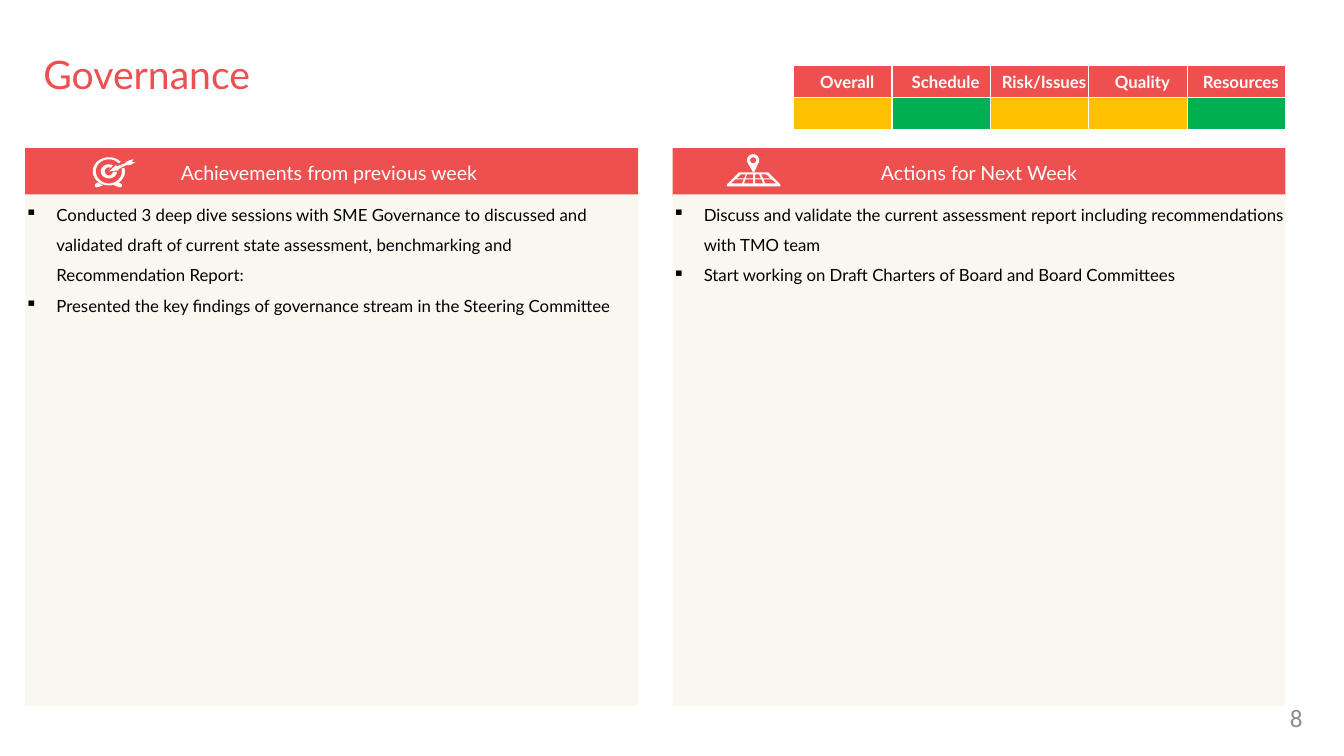
from math import cos, radians, sin

from lxml.etree import SubElement
from pptx import Presentation
from pptx.dml.color import RGBColor
from pptx.enum.shapes import MSO_SHAPE as Preset
from pptx.enum.text import MSO_ANCHOR as Anchor, MSO_AUTO_SIZE as AutoSize, PP_ALIGN as Align
from pptx.oxml.ns import qn
from pptx.util import Inches, Pt

TITLE_RED = RGBColor(0xEE, 0x4F, 0x50)
RED = RGBColor(0xEE, 0x50, 0x4F)
CREAM = RGBColor(0xF9, 0xF7, 0xEF)
WHITE = RGBColor(0xFF, 0xFF, 0xFF)
BLACK = RGBColor(0x00, 0x00, 0x00)
GREY = RGBColor(0x8C, 0x8C, 0x8C)
AMBER = RGBColor(0xFF, 0xC0, 0x00)
GREEN = RGBColor(0x00, 0xB0, 0x50)

PANEL_WIDTH = 6.08
STATUSES = {
    "Overall": AMBER,
    "Schedule": GREEN,
    "Risk/Issues": AMBER,
    "Quality": AMBER,
    "Resources": GREEN,
}
PANELS = [
    (0.25, "Achievements from previous week ", [
        "Conducted 3 deep dive sessions with SME Governance to discussed and validated draft "
        "of current state assessment, benchmarking and Recommendation Report:",
        "Presented the key findings of governance stream in the Steering Committee",
    ]),
    (6.67, "Actions for Next Week", [
        "Discuss and validate the current assessment report including recommendations "
        "with TMO team",
        "Start working on Draft Charters of Board and Board Committees",
    ]),
]
NO_MARGINS = dict.fromkeys(["margin_left", "margin_right", "margin_top", "margin_bottom"], 0)


def apply_format(target, values):
    for name, value in values.items():
        setattr(target, name, value)


def write_lines(frame, lines, size, color, font="Lato", bold=False, **paragraph_format):
    for index, line in enumerate(lines):
        paragraph = frame.add_paragraph() if index else frame.paragraphs[0]
        apply_format(paragraph, paragraph_format)
        run = paragraph.add_run()
        run.text = line
        apply_format(run.font, {"name": font, "size": Pt(size), "bold": bold})
        run.font.color.rgb = color


def indent(paragraph, left, first=0):
    properties = paragraph._p.get_or_add_pPr()
    properties.set("marL", str(Inches(left)))
    properties.set("indent", str(Inches(first)))
    return properties


def paint(shape, color):
    shape.shadow.inherit = False
    shape.fill.solid()
    shape.fill.fore_color.rgb = color
    shape.line.fill.background()


def add_block(slide, left, top, height, color, anchor):
    block = slide.shapes.add_shape(
        Preset.RECTANGLE, Inches(left), Inches(top), Inches(PANEL_WIDTH), Inches(height))
    paint(block, color)
    apply_format(block.text_frame, {**NO_MARGINS, "word_wrap": True, "vertical_anchor": anchor})
    return block.text_frame


def add_panel(slide, left, heading, bullets):
    header = add_block(slide, left, 1.47, 0.48, RED, Anchor.MIDDLE)
    write_lines(header, [heading], 14, WHITE, alignment=Align.CENTER)
    body = add_block(slide, left, 1.93, 5.07, CREAM, Anchor.TOP)
    write_lines(body, bullets, 12, BLACK, alignment=Align.LEFT, line_spacing=1.5)
    for paragraph in body.paragraphs:
        SubElement(indent(paragraph, 0.31, -0.31), qn("a:buChar")).set("char", "▪")


def add_outline(slide, contours):
    scaled = [[(Inches(x), Inches(y)) for x, y in contour] for contour in contours]
    builder = slide.shapes.build_freeform(*scaled[0][0])
    for index, contour in enumerate(scaled):
        if index:
            builder.move_to(*contour[0])
        builder.add_line_segments(contour[1:], close=True)
    paint(builder.convert_to_shape(), WHITE)


def arc(x, y, radius_x, radius_y, start, end, steps=24):
    angles = [radians(start + (end - start) * step / steps) for step in range(steps + 1)]
    return [(x + radius_x * cos(angle), y + radius_y * sin(angle)) for angle in angles]


def open_ring(outer, inner, start, end):
    return arc(1.08, 1.7, *outer, start, end) + arc(1.08, 1.7, *inner, end, start)


def add_target_icon(slide):
    arrow = [(1.08, 1.7), (1.15, 1.64), (1.16, 1.65), (1.24, 1.62), (1.26, 1.6), (1.32, 1.58),
             (1.31, 1.61), (1.34, 1.61), (1.29, 1.64), (1.25, 1.64), (1.17, 1.68), (1.18, 1.69)]
    left_foot = [(0.97, 1.81), (0.94, 1.83), (0.94, 1.85), (0.96, 1.86), (1.02, 1.84)]
    right_foot = [(2.15 - x, y) for x, y in left_foot]
    add_outline(slide, [
        open_ring((0.16, 0.14), (0.13, 0.12), -14, 318),
        open_ring((0.08, 0.07), (0.04, 0.04), 5, 300),
        arrow, left_foot, right_foot,
    ])


def add_map_icon(slide):
    def edge(far, near, y):
        return far + (near - far) * (y - 1.73) / 0.09, y

    contours = [[(7.33, 1.71), (7.62, 1.71), (7.74, 1.83), (7.74, 1.85), (7.21, 1.85), (7.21, 1.83)]]
    columns = [((7.35, 7.25), (7.4, 7.36)), ((7.41, 7.38), (7.47, 7.47)),
               ((7.49, 7.49), (7.53, 7.57)), ((7.55, 7.59), (7.6, 7.7))]
    for top, bottom in [(1.73, 1.77), (1.78, 1.82)]:
        for left, right in columns:
            contours.append([edge(*left, top), edge(*right, top),
                             edge(*right, bottom), edge(*left, bottom)])
    add_outline(slide, contours)
    pin = arc(7.47, 1.59, 0.06, 0.06, 145, 395) + [(7.48, 1.71), (7.47, 1.71)]
    add_outline(slide, [pin, arc(7.47, 1.59, 0.03, 0.03, 0, 345)])


def add_borders(cell):
    properties = cell._tc.get_or_add_tcPr()
    for index, side in enumerate(["a:lnL", "a:lnR", "a:lnT", "a:lnB"]):
        border = properties.makeelement(qn(side), {"w": str(Pt(1))})
        fill = SubElement(border, qn("a:solidFill"))
        SubElement(fill, qn("a:srgbClr")).set("val", str(WHITE))
        properties.insert(index, border)


def add_status_table(slide):
    table = slide.shapes.add_table(
        2, len(STATUSES), Inches(7.87), Inches(0.65), Inches(4.88), Inches(0.64)).table
    apply_format(table, {"first_row": False, "horz_banding": False})
    for column, (label, status) in enumerate(STATUSES.items()):
        for row, color in enumerate([RED, status]):
            cell = table.cell(row, column)
            apply_format(cell, {**NO_MARGINS, "vertical_anchor": Anchor.MIDDLE})
            cell.fill.solid()
            cell.fill.fore_color.rgb = color
            add_borders(cell)
        heading = table.cell(0, column).text_frame
        write_lines(heading, [label], 12, WHITE, bold=True, alignment=Align.CENTER)
        indent(heading.paragraphs[0], 0.09)


def add_title(slide, text):
    title = slide.shapes.title
    apply_format(title, {"left": Inches(0.43), "top": Inches(0.5),
                         "width": Inches(11.98), "height": Inches(0.47)})
    apply_format(title.text_frame, {**NO_MARGINS, "word_wrap": True, "vertical_anchor": Anchor.TOP,
                                    "auto_size": AutoSize.SHAPE_TO_FIT_TEXT})
    write_lines(title.text_frame, [text], 28, TITLE_RED, alignment=Align.LEFT)


def add_page_number(slide, number):
    frame = slide.shapes.add_textbox(
        Inches(9.85), Inches(6.97), Inches(3.07), Inches(0.38)).text_frame
    apply_format(frame, {**NO_MARGINS, "word_wrap": True})
    write_lines(frame, [number], 18, GREY, font="Calibri", alignment=Align.RIGHT)


def main():
    deck = Presentation()
    apply_format(deck, {"slide_width": Inches(13.33), "slide_height": Inches(7.5)})
    slide = deck.slides.add_slide(deck.slide_layouts.get_by_name("Title Only"))
    add_title(slide, "Governance")
    add_page_number(slide, "8")
    for panel in PANELS:
        add_panel(slide, *panel)
    add_target_icon(slide)
    add_map_icon(slide)
    add_status_table(slide)
    deck.save("out.pptx")


if __name__ == "__main__":
    main()
